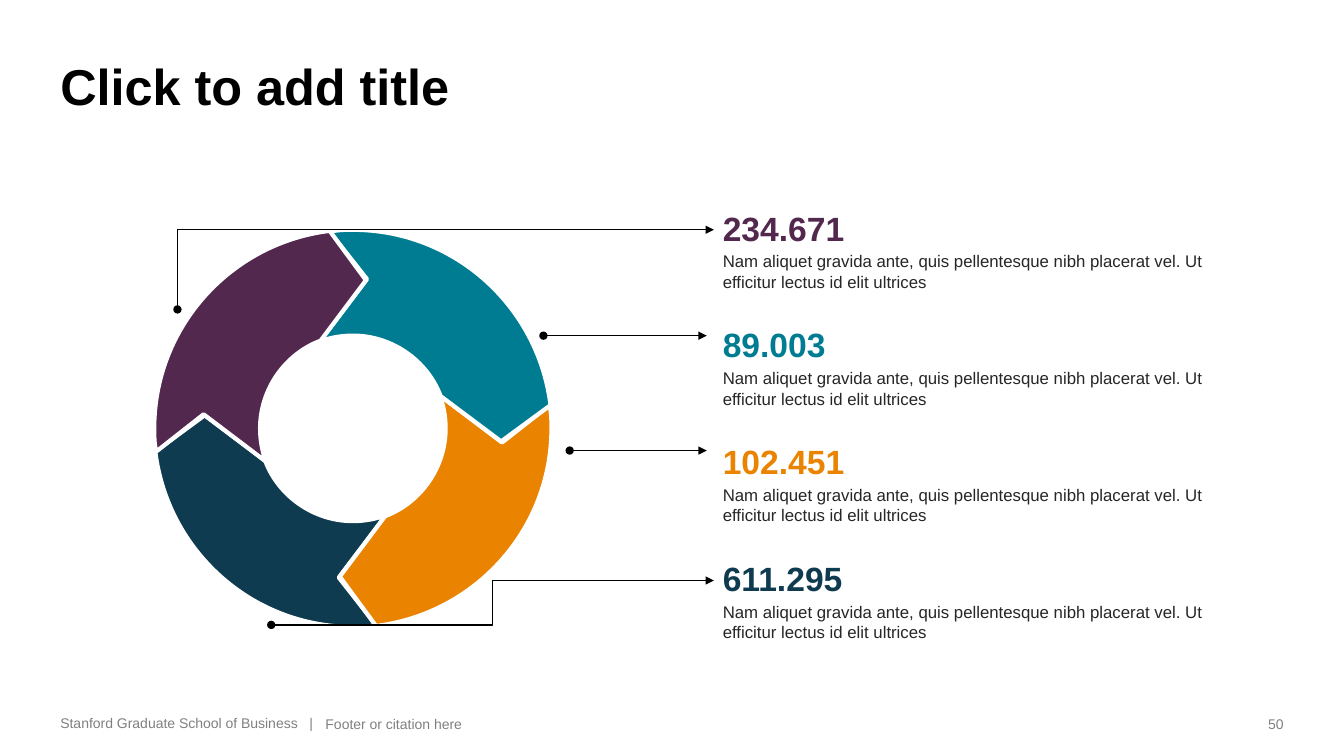
from lxml.etree import SubElement
from pptx import Presentation
from pptx.dml.color import RGBColor
from pptx.enum.shapes import MSO_CONNECTOR
from pptx.enum.text import MSO_ANCHOR, PP_ALIGN
from pptx.oxml.ns import qn
from pptx.util import Inches, Pt

FONT = "Arial"
COLORS = {
    "purple": "53284F", "teal": "007C92", "orange": "E98300", "navy": "0E3B50",
    "black": "000000", "white": "FFFFFF", "body": "262626", "footer": "808080",
}
BODY = ("Nam aliquet gravida ante, quis pellentesque nibh placerat vel. "
        "Ut efficitur lectus id elit ultrices")
STATS = [("234.671", "purple"), ("89.003", "teal"),
         ("102.451", "orange"), ("611.295", "navy")]
# Back to front: colour and number of clockwise quarter turns
SEGMENTS = [("navy", 2), ("orange", 1), ("teal", 0), ("purple", 3)]
# Segment outline around the ring centre: one point is a line, three are a curve
OUTLINE = [
    [(-0.23, -1.95)],
    [(-0.15, -1.97), (-0.07, -1.97), (0, -1.97)],
    [(1.01, -1.97), (1.84, -1.21), (1.96, -0.23)],
    [(1.47, 0.13)],
    [(0.87, -0.32)],
    [(0.74, -0.67), (0.39, -0.92), (0, -0.92)],
    [(-0.11, -0.92), (-0.23, -0.9), (-0.33, -0.86)],
    [(0.14, -1.48)],
]
# Start, end and, for elbows, the position of the bend
LEADERS = [((1.76, 3.07), (7.08, 2.28), 0), ((5.39, 3.33), (7.01, 3.33), None),
           ((5.65, 4.47), (7.01, 4.47), None), ((2.69, 6.2), (7.08, 5.76), 0.5)]


def rgb(name):
    return RGBColor.from_string(COLORS[name])


def add_text(slide, box, lines, anchor, align=PP_ALIGN.LEFT):
    """Each line is (text, size, colour, bold, space before)."""
    tf = slide.shapes.add_textbox(*map(Inches, box)).text_frame
    tf.word_wrap = True
    tf.vertical_anchor = anchor
    for i, (text, size, color, bold, before) in enumerate(lines):
        p = tf.paragraphs[0] if i == 0 else tf.add_paragraph()
        p.alignment = align
        p.space_before = Pt(before)
        r = p.add_run()
        r.text = text
        r.font.name = FONT
        r.font.size = Pt(size)
        r.font.bold = bold
        r.font.color.rgb = rgb(color)
    return tf


def add_segment(slide, cx, cy, color, turns):
    def place(x, y):
        for _ in range(turns):
            x, y = -y, x
        return Inches(cx + x), Inches(cy + y)

    points = [place(*point) for step in OUTLINE for point in step]
    builder = slide.shapes.build_freeform(*points[0])
    builder.add_line_segments(points[1:], close=True)
    sp = builder.convert_to_shape()

    # Merge each group of three line points into one curve
    lines = iter(list(sp._element.iter(qn("a:lnTo"))))
    for step in OUTLINE[1:]:
        first, *rest = [next(lines) for _ in step]
        if rest:
            first.tag = qn("a:cubicBezTo")
            for line in rest:
                first.append(line[0])
                line.getparent().remove(line)

    sp.shadow.inherit = False
    sp.fill.solid()
    sp.fill.fore_color.rgb = rgb(color)
    sp.line.color.rgb = rgb("white")
    sp.line.width = Pt(3)


def add_ring(slide, left, top, size):
    """Four interlocking arrow segments, each a quarter turn apart."""
    for color, turns in SEGMENTS:
        add_segment(slide, left + size / 2, top + size / 2, color, turns)


def add_leader(slide, start, end, bend):
    kind = MSO_CONNECTOR.STRAIGHT if bend is None else MSO_CONNECTOR.ELBOW
    line = slide.shapes.add_connector(kind, *map(Inches, start + end))
    line.line.color.rgb = rgb("black")
    line.line.width = Pt(1)
    sp_pr = line._element.spPr
    ln = sp_pr.find(qn("a:ln"))
    SubElement(ln, qn("a:headEnd"), type="oval")
    SubElement(ln, qn("a:tailEnd"), type="triangle")
    SubElement(sp_pr, qn("a:effectLst"))
    if bend is not None:
        av = sp_pr.find(qn("a:prstGeom")).find(qn("a:avLst"))
        SubElement(av, qn("a:gd"), name="adj1", fmla=f"val {int(bend * 100000)}")


def add_stats(slide, left, top, width, height, pitch):
    for i, (value, color) in enumerate(STATS):
        add_text(slide, (left, top + i * pitch, width, height),
                 [(value, 24, color, True, 0), (BODY, 12, "body", False, 2.4)],
                 MSO_ANCHOR.MIDDLE)


def add_footer(slide, left, top, width, height):
    def note(text, x, w, h, align=PP_ALIGN.LEFT):
        return add_text(slide, (x, top, w, h), [(text, 10, "footer", False, 0)],
                        MSO_ANCHOR.BOTTOM, align)

    school = note("Stanford Graduate School of Business\t|", left, 2.75, height - 0.01)
    p_pr = school.paragraphs[0]._p.get_or_add_pPr()
    tabs = SubElement(p_pr, qn("a:tabLst"))
    SubElement(tabs, qn("a:tab"), pos=str(Inches(2.47)), algn="l")
    note("Footer or citation here", left + 2.63, 9.17, height)
    note("50", left + width - 0.39, 0.39, height, PP_ALIGN.RIGHT)


def main():
    prs = Presentation()
    prs.slide_width, prs.slide_height = Inches(13.33), Inches(7.5)
    s = prs.slides.add_slide(prs.slide_layouts[6])

    # Title and footer
    add_text(s, (0.5, 0.49, 12.33, 0.71),
             [("Click to add title", 36, "black", True, 0)], MSO_ANCHOR.BOTTOM)
    add_footer(s, 0.5, 7.03, 12.33, 0.28)

    # Ring, figures and leader lines
    add_ring(s, 1.53, 2.28, 3.94)
    add_stats(s, 7.07, 2, 5.25, 0.95, 1.16)
    for start, end, bend in LEADERS:
        add_leader(s, start, end, bend)

    prs.save("out.pptx")


if __name__ == "__main__":
    main()
